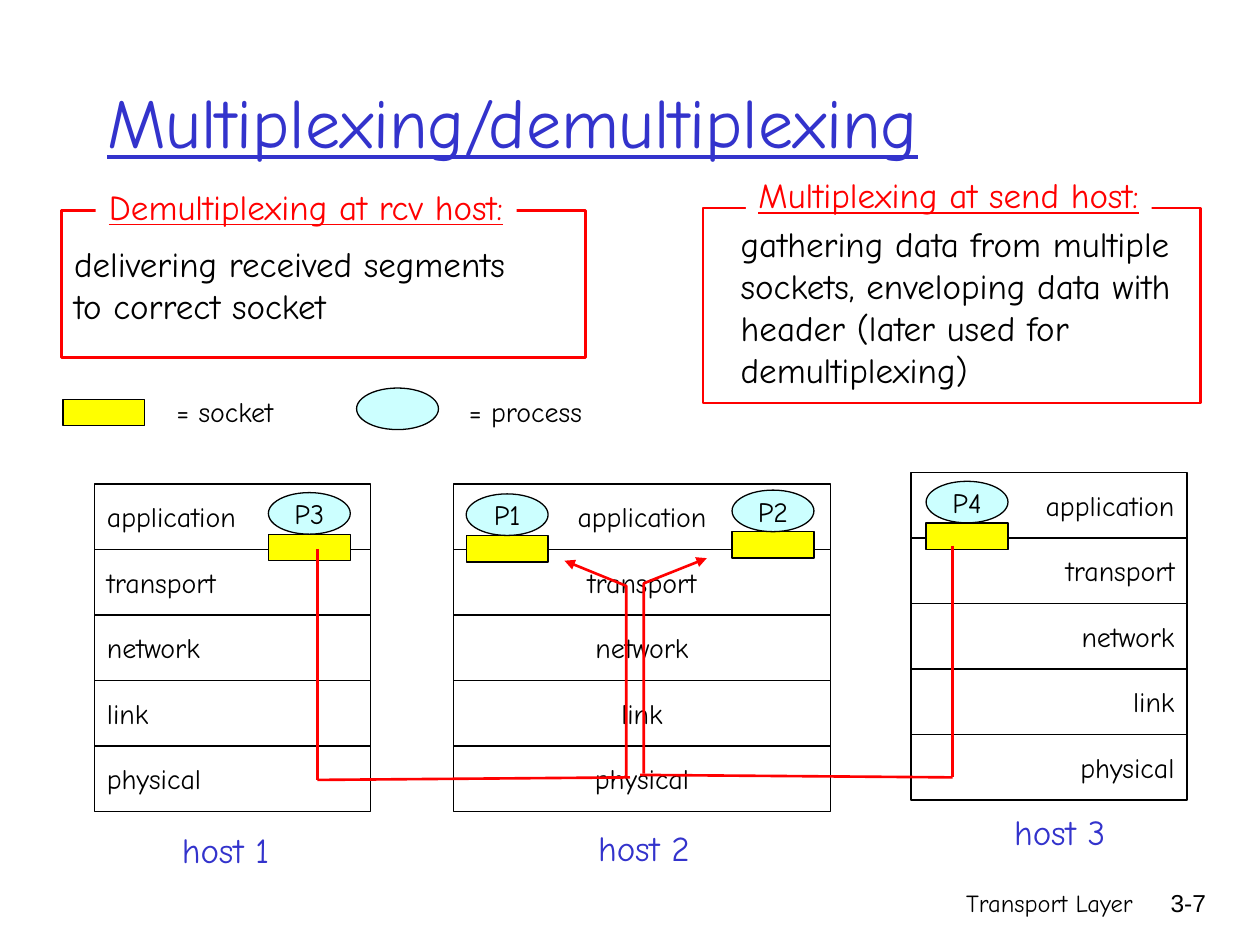
from lxml import etree
from pptx import Presentation
from pptx.dml.color import RGBColor
from pptx.enum.shapes import MSO_CONNECTOR as CONN, MSO_SHAPE as SHAPE
from pptx.enum.text import MSO_ANCHOR as ANCHOR, MSO_AUTO_SIZE as AUTO, PP_ALIGN as ALIGN
from pptx.oxml.ns import qn
from pptx.util import Inches, Pt

BLACK = RGBColor(0x00, 0x00, 0x00)
WHITE = RGBColor(0xFF, 0xFF, 0xFF)
BLUE = RGBColor(0x33, 0x33, 0xCC)
RED = RGBColor(0xFF, 0x00, 0x00)
YELLOW = RGBColor(0xFF, 0xFF, 0x00)
CYAN = RGBColor(0xCC, 0xFF, 0xFF)
FONT = "Comic Neue"
LAYERS = ["application", "transport", "network", "link", "physical"]
LAYER_H = 0.52
ICON_W, SOCKET_H, PROCESS_H = 0.65, 0.21, 0.33


def write(sp, text, size=16, color=BLACK, font=FONT, align=ALIGN.LEFT,
          anchor=ANCHOR.TOP, underline=False, wrap=True):
    """Fill a shape with formatted text, one paragraph per line."""
    tf = sp.text_frame
    tf.word_wrap = wrap
    tf.vertical_anchor = anchor
    for i, line in enumerate(text.split("\n")):
        p = tf.paragraphs[0] if i == 0 else tf.add_paragraph()
        p.alignment = align
        r = p.add_run()
        r.text = line
        r.font.size = Pt(size)
        r.font.name = font
        r.font.color.rgb = color
        r.font.underline = underline


def add_text(slide, box, text, **fmt):
    """Add a text box."""
    sp = slide.shapes.add_textbox(*map(Inches, box))
    write(sp, text, **fmt)


def add_label(slide, box, text, **fmt):
    """Add a centred one-line text box that grows with its text."""
    sp = slide.shapes.add_textbox(*map(Inches, box))
    write(sp, text, align=ALIGN.CENTER, wrap=False, **fmt)
    sp.text_frame.auto_size = AUTO.SHAPE_TO_FIT_TEXT


def add_box(slide, kind, box, fill=None, line=BLACK, width=0.75):
    """Add a flat preset shape."""
    sp = slide.shapes.add_shape(kind, *map(Inches, box))
    sp.shadow.inherit = False
    if fill is None:
        sp.fill.background()
    else:
        sp.fill.solid()
        sp.fill.fore_color.rgb = fill
    if line is None:
        sp.line.fill.background()
    else:
        sp.line.color.rgb = line
        sp.line.width = Pt(width)
    return sp


def add_line(slide, start, end):
    """Add a straight red line without a shadow."""
    line = slide.shapes.add_connector(CONN.STRAIGHT, *map(Inches, start + end))
    line.line.color.rgb = RED
    line.line.width = Pt(1.5)
    etree.SubElement(line._element.spPr, qn("a:effectLst"))


def add_title(slide, box, text):
    """Place and format the title placeholder."""
    title = slide.shapes.title
    title.left, title.top, title.width, title.height = map(Inches, box)
    write(title, text, size=40, color=BLUE, anchor=ANCHOR.MIDDLE, underline=True)


def add_socket(slide, left, top):
    """Draw a socket symbol."""
    add_box(slide, SHAPE.RECTANGLE, (left, top, ICON_W, SOCKET_H), YELLOW)


def add_process(slide, left, top, name=None):
    """Draw a process symbol, with its name if it has one."""
    sp = add_box(slide, SHAPE.OVAL, (left, top, ICON_W, PROCESS_H), CYAN)
    if name:
        write(sp, name, align=ALIGN.CENTER, anchor=ANCHOR.MIDDLE, wrap=False)


def add_host(slide, box, align, processes, label, label_box):
    """Draw a host's protocol stack, its processes on sockets and its label."""
    left, top, width = box
    for i, layer in enumerate(LAYERS):
        sp = add_box(slide, SHAPE.RECTANGLE,
                     (left, top + i * LAYER_H, width, LAYER_H), WHITE)
        write(sp, layer, align=align, anchor=ANCHOR.MIDDLE)
    for name, x, y in processes:
        add_socket(slide, x, y + PROCESS_H)
        add_process(slide, x, y, name)
    add_label(slide, label_box, label, size=20, color=BLUE)


def add_route(slide, start, corner, end, climb):
    """Draw a path down from a socket, across, and up to an arrowhead."""
    add_line(slide, start, corner)
    add_line(slide, corner, end)
    points = [(Inches(x), Inches(y)) for x, y in climb]
    builder = slide.shapes.build_freeform(*points[0])
    builder.add_line_segments(points[1:], close=False)
    sp = builder.convert_to_shape()
    sp.shadow.inherit = False
    sp.fill.background()
    sp.line.color.rgb = RED
    sp.line.width = Pt(1.5)
    etree.SubElement(sp.line._get_or_add_ln(), qn("a:tailEnd"), type="triangle")


def add_definition(slide, frame, heading_box, heading, body_box, body, anchor):
    """Draw a red frame with a heading set into its top edge."""
    add_box(slide, SHAPE.RECTANGLE, frame, line=RED, width=1.5)
    add_text(slide, body_box, body, size=20, anchor=anchor)
    sp = add_box(slide, SHAPE.RECTANGLE, heading_box, WHITE, line=None)
    write(sp, heading, size=20, color=RED, align=ALIGN.CENTER,
          underline=True, wrap=False)


def add_legend(slide, left, top):
    """Explain the socket and process symbols."""
    add_socket(slide, left, top + 0.09)
    add_label(slide, (left + 0.8, top, 0.97, 0.37), "= socket")
    add_process(slide, left + 2.33, top)
    add_label(slide, (left + 3.12, top, 1.1, 0.37), "= process")


def add_footer(slide, top):
    """Add the chapter name and page number."""
    add_text(slide, (5.92, top, 3.17, 0.5), "Transport Layer", size=14,
             align=ALIGN.RIGHT)
    add_text(slide, (8.93, top, 0.74, 0.5), "3-7", size=14, font="Arial",
             align=ALIGN.RIGHT)


def main():
    """Build the slide and save it."""
    prs = Presentation()
    prs.slide_width, prs.slide_height = Inches(10), Inches(7.5)
    slide = prs.slides.add_slide(prs.slide_layouts[5])
    add_footer(slide, 7)
    add_title(slide, (0.75, 0.33, 8.5, 1.25), "Multiplexing/demultiplexing")
    add_host(slide, (0.75, 3.84, 2.19), ALIGN.LEFT, [("P3", 2.13, 3.91)],
             "host 1", (1.32, 6.53, 0.94, 0.44))
    add_host(slide, (7.23, 3.75, 2.19), ALIGN.RIGHT, [("P4", 7.35, 3.82)],
             "host 3", (7.92, 6.38, 0.98, 0.44))
    add_host(slide, (3.6, 3.84, 2.99), ALIGN.CENTER,
             [("P2", 5.81, 3.89), ("P1", 3.7, 3.92)],
             "host 2", (4.62, 6.51, 0.98, 0.44))
    add_route(slide, (2.52, 4.36), (2.52, 6.19), (5, 6.17),
              [(4.97, 6.17), (4.97, 4.65), (4.48, 4.45)])
    add_legend(slide, 0.5, 3.08)
    add_definition(slide, (0.49, 1.67, 4.16, 1.17), (0.76, 1.42, 3.34, 0.44),
                   "Demultiplexing at rcv host:", (0.49, 1.67, 4.16, 1.17),
                   "delivering received segments\nto correct socket",
                   ANCHOR.MIDDLE)
    add_definition(slide, (5.58, 1.65, 3.95, 1.55), (5.92, 1.33, 3.22, 0.44),
                   "Multiplexing at send host:", (5.78, 1.72, 3.72, 1.44),
                   "gathering data from multiple\nsockets, enveloping data with\n"
                   "header (later used for\ndemultiplexing)", ANCHOR.TOP)
    add_route(slide, (7.56, 4.33), (7.56, 6.17), (5.08, 6.15),
              [(5.11, 6.14), (5.11, 4.63), (5.61, 4.43)])
    prs.save("out.pptx")


if __name__ == "__main__":
    main()
